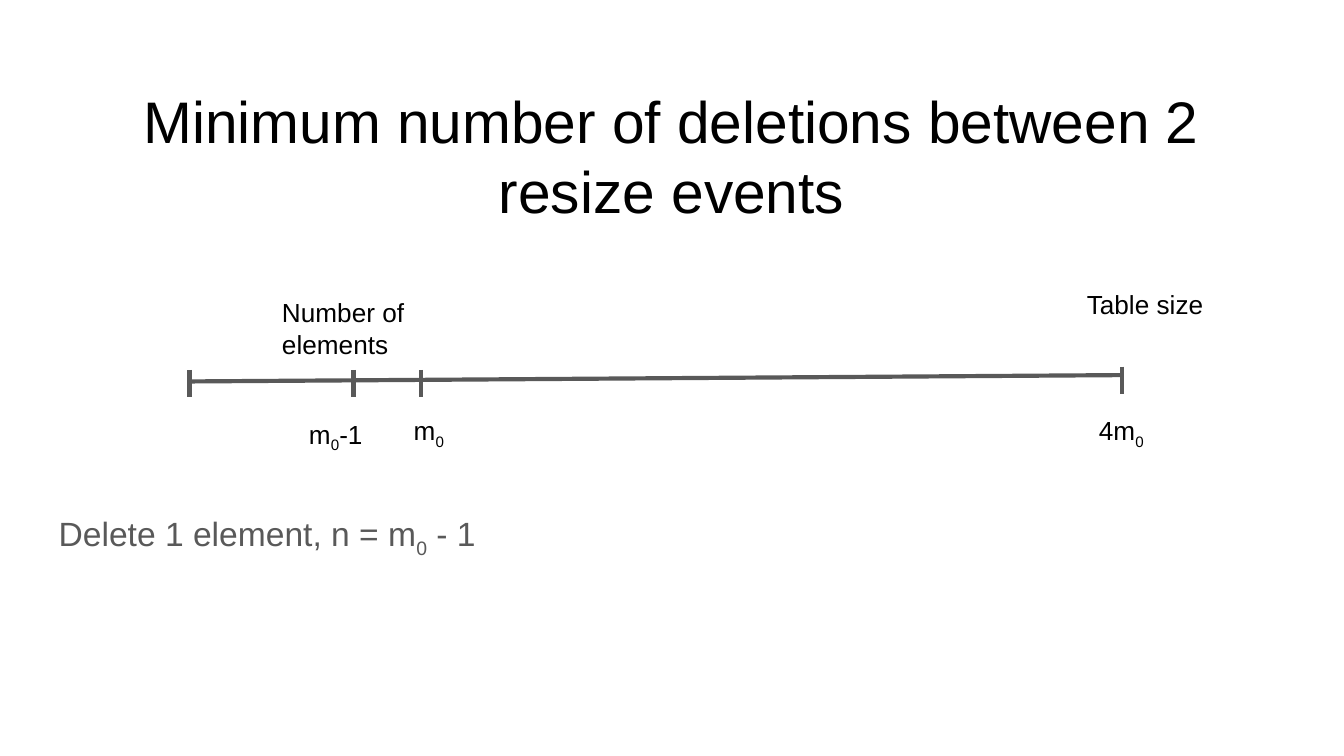
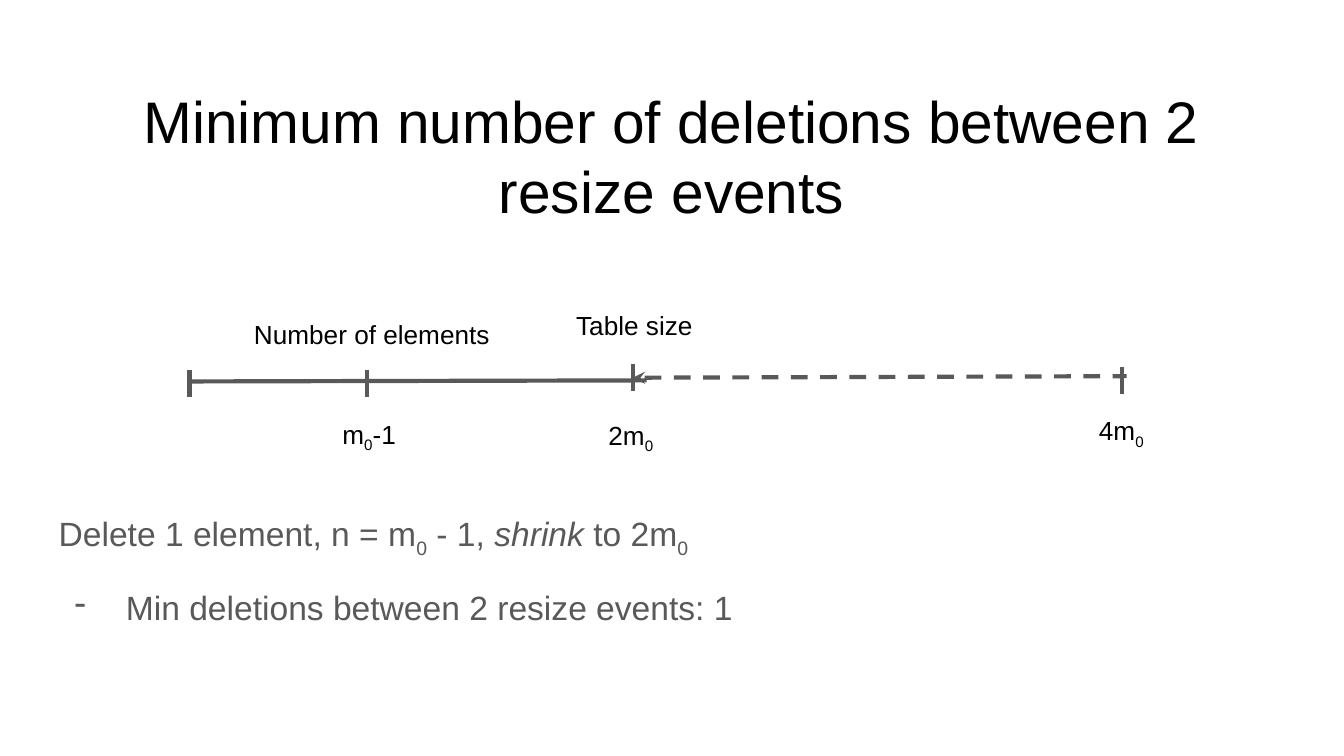
import pptx
import pptx.dml.color
import pptx.enum.dml
import pptx.enum.shapes
import pptx.enum.text
import pptx.oxml.ns
import pptx.util
from lxml import etree

Cm, Pt = pptx.util.Cm, pptx.util.Pt
qn = pptx.oxml.ns.qn

BLACK = "000000"
GRAY = "595959"
TITLE = "Minimum number of deletions between 2 resize events"
MARGIN, CONTENT_WIDTH, CONTENT_HEIGHT = 0.86, 23.67, 3.38
START_X, END_X = 3.6, 21.21
TICK_HEIGHT = 0.51
LABEL_HEIGHT = 1.12


def color(hex_string):
    return pptx.dml.color.RGBColor.from_string(hex_string)


def add_text_box(slide, left, top, width, height):
    box = slide.shapes.add_textbox(Cm(left), Cm(top), Cm(width), Cm(height))
    frame = box.text_frame
    frame.word_wrap = True
    frame.margin_left = frame.margin_right = Cm(0.25)
    frame.margin_top = frame.margin_bottom = Cm(0.25)
    return frame


def write(paragraph, text, size, hex_color):
    """Fill a paragraph; _x sets x as a subscript and *words* are italic."""
    for index, phrase in enumerate(text.split("*")):
        for position, part in enumerate(phrase.split("_")):
            if position:
                subscript = paragraph.add_run()
                subscript.text = part[0]
                subscript._r.get_or_add_rPr().set("baseline", "-25000")
                part = part[1:]
            if part:
                run = paragraph.add_run()
                run.text = part
                if index % 2:
                    run.font.italic = True
    font = paragraph.font
    font.name, font.size = "Arial", Pt(size)
    font.color.rgb = color(hex_color)


def add_title(slide):
    frame = add_text_box(slide, MARGIN, 1.24, CONTENT_WIDTH, CONTENT_HEIGHT)
    frame.vertical_anchor = pptx.enum.text.MSO_ANCHOR.MIDDLE
    heading = frame.paragraphs[0]
    heading.alignment = pptx.enum.text.PP_ALIGN.CENTER
    write(heading, TITLE, 31.4, BLACK)


def add_dash_bullet(paragraph):
    properties = paragraph._p.get_or_add_pPr()
    properties.set("marL", str(Cm(1.27)))
    properties.set("indent", str(Cm(-0.97)))
    bullet_color = etree.SubElement(properties, qn("a:buClr"))
    etree.SubElement(bullet_color, qn("a:srgbClr")).set("val", GRAY)
    etree.SubElement(properties, qn("a:buChar")).set("char", "-")


def add_body(slide, statement, conclusion=None):
    frame = add_text_box(slide, MARGIN, 9.32, CONTENT_WIDTH, CONTENT_HEIGHT)
    first = frame.paragraphs[0]
    first.line_spacing = 1.15
    write(first, statement, 18, GRAY)
    if conclusion:
        second = frame.add_paragraph()
        add_dash_bullet(second)
        second.line_spacing = 1.15
        second.space_before = Pt(12)
        write(second, conclusion, 18, GRAY)


def add_label(slide, left, top, width, *lines):
    height = LABEL_HEIGHT + 0.58 * (len(lines) - 1)
    frame = add_text_box(slide, left, top, width, height)
    frame.auto_size = pptx.enum.text.MSO_AUTO_SIZE.SHAPE_TO_FIT_TEXT
    for index, line in enumerate(lines):
        paragraph = frame.add_paragraph() if index else frame.paragraphs[0]
        write(paragraph, line, 14, BLACK)


def add_line(slide, x1, y1, x2, y2):
    connector = slide.shapes.add_connector(
        pptx.enum.shapes.MSO_CONNECTOR.STRAIGHT, Cm(x1), Cm(y1), Cm(x2), Cm(y2))
    connector.line.color.rgb = color(GRAY)
    connector.line.width = Pt(2.25)
    etree.SubElement(connector._element.spPr, qn("a:effectLst"))
    return connector


def add_tick(slide, x, top=6.99):
    add_line(slide, x, top, x, top + TICK_HEIGHT)


def add_shrink_arrow(slide, x1, y1, x2, y2):
    """Dashed line with its arrowhead at the first point."""
    arrow = add_line(slide, x1, y1, x2, y2)
    arrow.line.dash_style = pptx.enum.dml.MSO_LINE.DASH
    outline = arrow._element.spPr.find(qn("a:ln"))
    etree.SubElement(outline, qn("a:headEnd")).set("type", "stealth")


def add_number_line(slide, end_x, end_y):
    """Axis with its start tick and the tick of the initial size."""
    add_line(slide, START_X, 7.21, end_x, end_y)
    add_tick(slide, 3.58)
    add_tick(slide, END_X, 6.93)
    add_label(slide, 20.52, 7.59, 1.4, "4m_0")


def build_before_shrink(slide):
    add_title(slide)
    add_number_line(slide, END_X, 7.09)
    add_tick(slide, 6.68)
    add_tick(slide, 7.95)
    add_label(slide, 5.08, 5.36, 3.33, "Number of", "elements")
    add_label(slide, 20.29, 5.21, 2.77, "Table size")
    add_label(slide, 5.59, 7.65, 1.8, "m_0-1")
    add_label(slide, 7.57, 7.59, 1.4, "m_0")
    add_body(slide, "Delete 1 element, n = m_0 - 1")


def build_after_shrink(slide):
    new_size_x = 11.96
    add_title(slide)
    add_number_line(slide, 12.22, 7.19)
    add_tick(slide, 6.93)
    add_tick(slide, new_size_x, 6.88)
    add_shrink_arrow(slide, new_size_x, 7.14, 21.29, 7.11)
    add_label(slide, 4.55, 5.77, 5.18, "Number of elements")
    add_label(slide, 10.64, 5.59, 7.11, "Table size")
    add_label(slide, 6.22, 7.65, 1.8, "m_0-1")
    add_label(slide, 11.25, 7.67, 1.4, "2m_0")
    add_body(slide, "Delete 1 element, n = m_0 - 1, *shrink *to 2m_0",
             "Min deletions between 2 resize events: 1")


def main():
    presentation = pptx.Presentation()
    presentation.slide_width = Cm(25.4)
    presentation.slide_height = Cm(14.29)
    blank = presentation.slide_layouts[6]
    for build in (build_before_shrink, build_after_shrink):
        build(presentation.slides.add_slide(blank))
    presentation.save("out.pptx")


if __name__ == "__main__":
    main()
